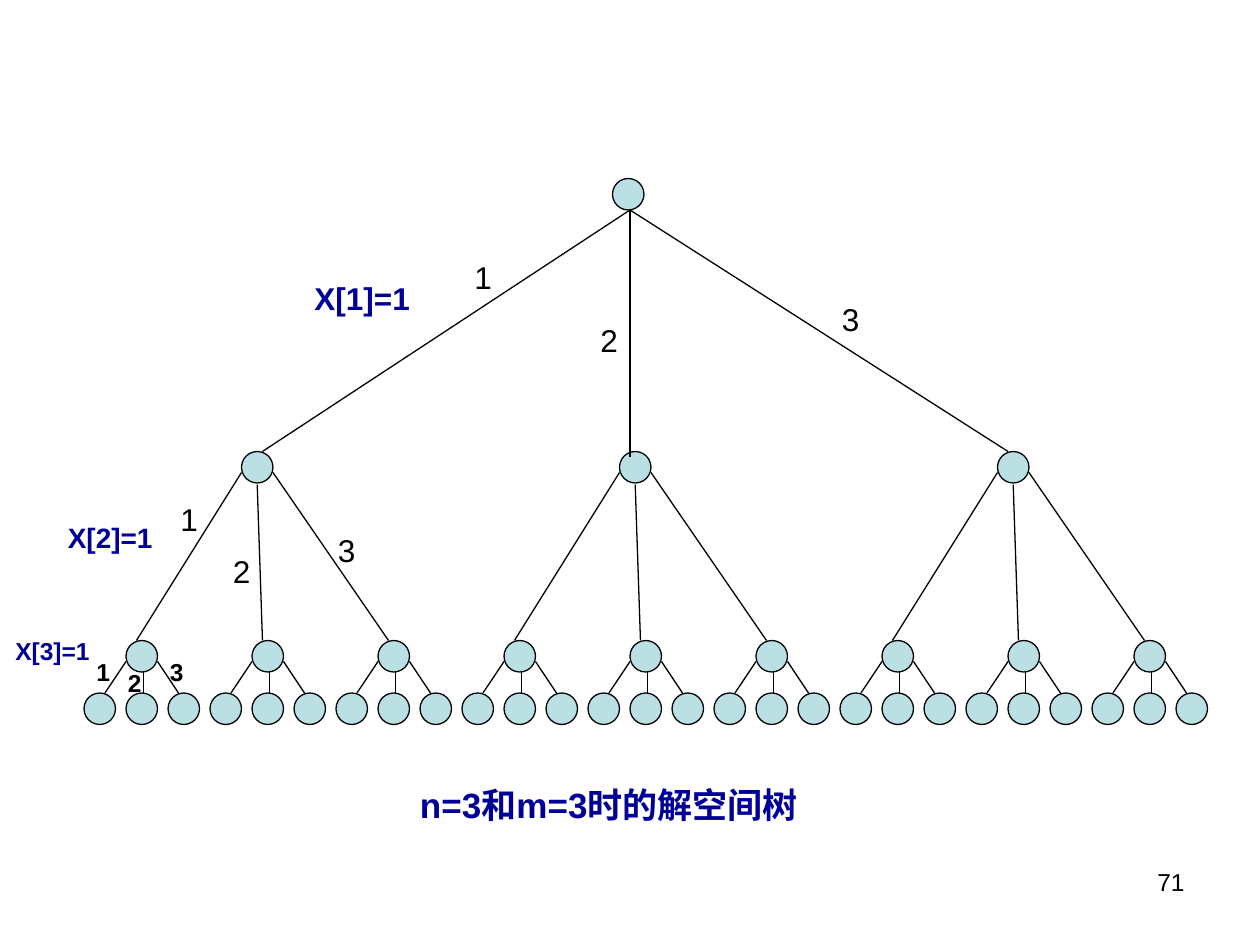
from lxml import etree
from pptx import Presentation
from pptx.dml.color import RGBColor
from pptx.enum.shapes import MSO_CONNECTOR, MSO_SHAPE
from pptx.enum.text import MSO_AUTO_SIZE, PP_ALIGN
from pptx.oxml.ns import qn
from pptx.util import Pt

OVAL = MSO_SHAPE.OVAL
STRAIGHT = MSO_CONNECTOR.STRAIGHT
FIT_TEXT, FIXED = MSO_AUTO_SIZE.SHAPE_TO_FIT_TEXT, MSO_AUTO_SIZE.NONE
LEFT, CENTER, RIGHT = PP_ALIGN.LEFT, PP_ALIGN.CENTER, PP_ALIGN.RIGHT

FONT = "Arial"
COLORS = {"node": "BBE0E3", "ink": "000000", "accent": "000099"}
NODE_SIZE = 18
LINE_WIDTH = 0.75

# Each level: node count, first left, step, top, and the edges down to the
# children as (start x, start y, end x, end y) from the node's top left corner.
LEVELS = [
    {"count": 1, "left": 350, "step": 0, "top": 102,
     "edges": [(10, 18, -200, 156), (10, 18, 10, 159), (10, 18, 226, 156)]},
    {"count": 3, "left": 138, "step": 216, "top": 258,
     "edges": [(0, 12, -60, 108), (9, 19, 12, 108), (18, 12, 84, 108)]},
    {"count": 9, "left": 72, "step": 72, "top": 366,
     "edges": [(0, 12, -12, 30), (10, 18, 10, 30), (18, 12, 30, 30)]},
    {"count": 27, "left": 48, "step": 24, "top": 396, "edges": []},
]

# text, left, top, width, height, size
VARIABLES = [
    ("X[1]=1", 156, 156, 102, 29, 18),
    ("X[2]=1", 24, 294, 78, 27, 16),
    ("X[3]=1", 0, 360, 60, 24, 14),
]

# Branch numbers 1, 2, 3 under the first node of each level
BRANCHES = [
    {"places": [(264, 144), (336, 180), (474, 168)],
     "height": 29, "size": 18, "bold": False},
    {"places": [(96, 282), (126, 312), (186, 300)],
     "height": 29, "size": 18, "bold": False},
    {"places": [(48, 372), (66, 378), (90, 372)],
     "height": 24, "size": 14, "bold": True},
]
BRANCH_WIDTH = 24
CAPTION = "n=3和m=3时的解空间树"
PAGE_NUMBER = "71"


def rgb(name):
    return RGBColor.from_string(COLORS[name])


def add_text(slide, text, left, top, width, height, size, bold=False,
             color="ink", align=LEFT, fit=FIT_TEXT, space_before=True):
    box = slide.shapes.add_textbox(Pt(left), Pt(top), Pt(width), Pt(height))
    frame = box.text_frame
    frame.word_wrap = True
    frame.auto_size = fit
    paragraph = frame.paragraphs[0]
    paragraph.alignment = align
    if space_before:
        paragraph.space_before = Pt(size * 0.625)
    run = paragraph.add_run()
    run.text = text
    run.font.name = FONT
    run.font.size = Pt(size)
    run.font.bold = bold
    run.font.color.rgb = rgb(color)


def add_node(slide, left, top):
    node = slide.shapes.add_shape(
        OVAL, Pt(left), Pt(top), Pt(NODE_SIZE), Pt(NODE_SIZE))
    node.shadow.inherit = False
    node.fill.solid()
    node.fill.fore_color.rgb = rgb("node")
    node.line.color.rgb = rgb("ink")
    node.line.width = Pt(LINE_WIDTH)


def add_edge(slide, *ends):
    edge = slide.shapes.add_connector(STRAIGHT, *(Pt(end) for end in ends))
    edge.line.color.rgb = rgb("ink")
    edge.line.width = Pt(LINE_WIDTH)
    etree.SubElement(edge._element.spPr, qn("a:effectLst"))


def add_tree(slide):
    """Draw all nodes, then the edges over them."""
    placed = [(level["left"] + i * level["step"], level["top"], level["edges"])
              for level in LEVELS for i in range(level["count"])]
    for left, top, _ in placed:
        add_node(slide, left, top)
    for left, top, edges in placed:
        for x1, y1, x2, y2 in edges:
            add_edge(slide, left + x1, top + y1, left + x2, top + y2)


def main():
    deck = Presentation()
    deck.slide_width, deck.slide_height = Pt(720), Pt(540)
    slide = deck.slides.add_slide(deck.slide_layouts[6])

    add_text(slide, PAGE_NUMBER, 516, 492, 168, 37.5, 14, align=RIGHT,
             fit=FIXED, space_before=False)
    add_tree(slide)
    for variable in VARIABLES:
        add_text(slide, *variable, bold=True, color="accent", align=CENTER)
    for branch in BRANCHES:
        for number, (left, top) in enumerate(branch["places"], start=1):
            add_text(slide, str(number), left, top, BRANCH_WIDTH,
                     branch["height"], branch["size"], bold=branch["bold"])
    add_text(slide, CAPTION, 144, 444, 408, 31.5, 20, bold=True,
             color="accent", align=CENTER)
    deck.save("out.pptx")


if __name__ == "__main__":
    main()
